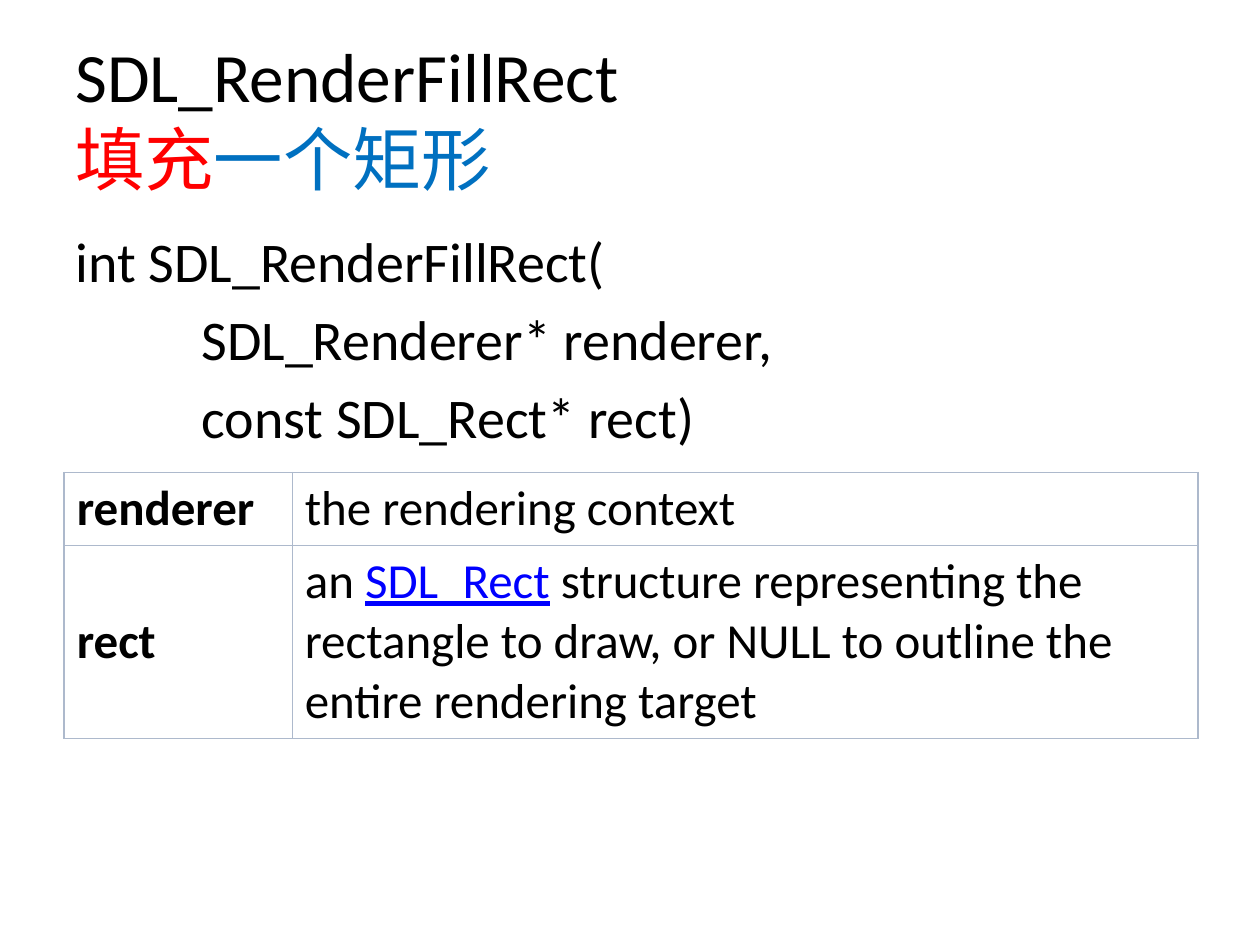
from lxml.etree import SubElement
from pptx import Presentation
from pptx.dml.color import RGBColor
from pptx.enum.text import MSO_ANCHOR as Anchor
from pptx.oxml.ns import qn
from pptx.util import Inches, Pt

BLACK, WHITE, RED, BLUE = "000000", "FFFFFF", "FF0000", "0070C0"
LINK, BORDER = "0000FF", "ADB9CC"


def color(value):
    return RGBColor.from_string(value)


class SlideBuilder:
    """Holds the text style and the current slide."""

    font = "Calibri"

    def __init__(self, page):
        self.page = page

    def add_spans(self, para, spans, size):
        """Add (text, format) spans; a line feed becomes a line break."""
        for text, extra in spans:
            style = {"name": self.font, "size": Pt(size), "bold": False,
                     "color": BLACK} | extra
            span = para.add_run()
            span.text = text.rstrip("\n")
            span.font.color.rgb = color(style.pop("color"))
            for name, value in style.items():
                setattr(span.font, name, value)
            if text.endswith("\n"):
                para.add_line_break()

    def text(self, at, paras, size, anchor=Anchor.TOP, before=0):
        """Add a text box; each paragraph is an indent and its spans."""
        box = self.page.shapes.add_textbox(*map(Inches, at))
        frame = box.text_frame
        frame.word_wrap = True
        frame.vertical_anchor = anchor
        for number, (indent, spans) in enumerate(paras):
            para = frame.add_paragraph() if number else frame.paragraphs[0]
            para.space_before = Pt(before)
            if indent:
                properties = para._p.get_or_add_pPr()
                properties.set("marL", str(Inches(indent)))
                properties.set("indent", "0")
            self.add_spans(para, spans, size)

    def border(self, cell):
        properties = cell._tc.get_or_add_tcPr()
        for number, side in enumerate(("lnL", "lnR", "lnT", "lnB")):
            line = properties.makeelement(qn(f"a:{side}"), {"w": str(Pt(1))})
            fill = SubElement(line, qn("a:solidFill"))
            SubElement(fill, qn("a:srgbClr"), val=BORDER)
            properties.insert(number, line)

    def table(self, at, widths, heights, rows, size):
        table = self.page.shapes.add_table(
            len(heights), len(widths), *map(Inches, at),
            Inches(sum(widths)), Inches(sum(heights))).table
        table.first_row = table.horz_banding = False
        for column, width in zip(table.columns, widths):
            column.width = Inches(width)
        for row, height, contents in zip(table.rows, heights, rows):
            row.height = Inches(height)
            for cell, spans in zip(row.cells, contents):
                cell.fill.solid()
                cell.fill.fore_color.rgb = color(WHITE)
                cell.vertical_anchor = Anchor.MIDDLE
                self.border(cell)
                self.add_spans(cell.text_frame.paragraphs[0], spans, size)


deck = Presentation()
deck.slide_width, deck.slide_height = Inches(10), Inches(7.5)
slide = SlideBuilder(deck.slides.add_slide(deck.slide_layouts[6]))

# Title
slide.text((0.5, 0.3, 9, 1.25), [
    (0, [("SDL_RenderFillRect\n", {}),
         ("填充", {"color": RED}),
         ("一个矩形", {"color": BLUE})]),
], size=39.6, anchor=Anchor.MIDDLE)

# Function signature
slide.text((0.5, 1.75, 9, 4.95), [
    (0, [("int SDL_RenderFillRect(", {})]),
    (1, [("SDL_Renderer* renderer,", {})]),
    (1, [("const SDL_Rect* rect)", {})]),
], size=32, before=6)

# Parameter table
slide.table((0.51, 3.75), widths=(1.81, 7.19), heights=(0.58, 1.53), rows=[
    ([("renderer", {"bold": True})],
     [("the rendering context", {})]),
    ([("rect", {"bold": True})],
     [("an\u00a0", {}),
      ("SDL_Rect", {"color": LINK, "underline": True}),
      ("\u00a0structure representing the rectangle to draw, "
       "or NULL to outline the entire rendering target", {})]),
], size=28)

deck.save("out.pptx")
